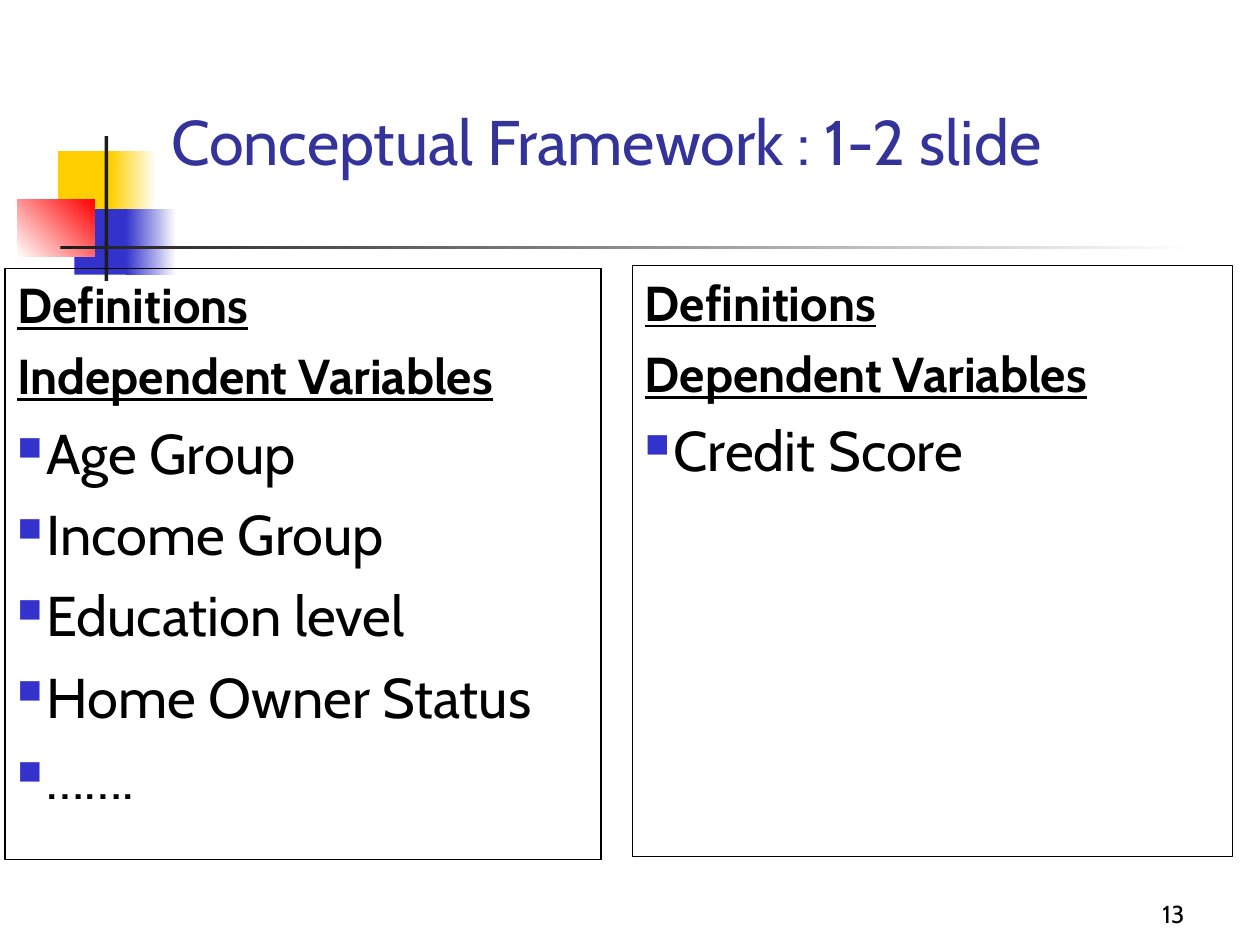
from lxml import etree
from pptx import Presentation
from pptx.dml.color import RGBColor
from pptx.enum.shapes import MSO_SHAPE
from pptx.enum.text import MSO_ANCHOR, PP_ALIGN
from pptx.oxml.ns import qn
from pptx.util import Inches, Pt

BLACK = RGBColor(0, 0, 0)
WHITE = RGBColor(0xFF, 0xFF, 0xFF)
YELLOW = RGBColor(0xFF, 0xCF, 0x01)
BLUE = RGBColor(0x33, 0x33, 0xCC)
RED = RGBColor(0xFF, 0, 0)
CHARCOAL = RGBColor(0x1C, 0x1C, 0x1C)
INDIGO = RGBColor(0x33, 0x33, 0x99)

TITLE = "Conceptual Framework : 1-2 slide"
PAGE = "13"
PANELS = [
    ((0.04, 2.13, 4.73, 4.69),
     ["Definitions", "Independent Variables"],
     ["Age Group", "Income Group", "Education level", "Home Owner Status", "……."]),
    ((5.02, 2.11, 4.76, 4.69),
     ["Definitions", "Dependent Variables"],
     ["Credit Score"]),
]
ORNAMENTS = [
    ((0.46, 1.2, 0.48, 0.52), (YELLOW,), 0),
    ((0.88, 1.2, 0.36, 0.52), (YELLOW, WHITE), 0),
    ((0.59, 1.66, 0.46, 0.52), (BLUE,), 0),
    ((1, 1.66, 0.4, 0.52), (BLUE, WHITE), 0),
    ((0.14, 1.58, 0.61, 0.46), (WHITE, RED), 45),
    ((0.83, 1.08, 0.03, 1.15), (CHARCOAL,), 0),
    ((0.48, 1.95, 9, 0.03), (CHARCOAL, WHITE), 0),
]
HEADING = {"size": Pt(28), "bold": True, "underline": True}
ITEM = {"size": Pt(32)}
INDENT = Inches(0.23)


def add_rect(s, box):
    sp = s.shapes.add_shape(MSO_SHAPE.RECTANGLE, *map(Inches, box))
    sp.shadow.inherit = False
    return sp


def add_ornament(s, box, colors, angle):
    sp = add_rect(s, box)
    sp.line.fill.background()
    if len(colors) == 1:
        sp.fill.solid()
        sp.fill.fore_color.rgb = colors[0]
        return
    sp.fill.gradient()
    sp.fill.gradient_angle = angle
    for stop, color in zip(sp.fill.gradient_stops, colors):
        stop.color.rgb = color


def add_run(p, text, style, color=BLACK):
    r = p.add_run()
    r.text = text
    r.font.name = "Cabin"
    r.font.color.rgb = color
    for key, value in style.items():
        setattr(r.font, key, value)


def add_bullet(p):
    pPr = p._p.get_or_add_pPr()
    pPr.set("marL", str(INDENT))
    pPr.set("indent", str(-INDENT))
    clr = etree.SubElement(pPr, qn("a:buClr"))
    etree.SubElement(clr, qn("a:srgbClr"), val=str(BLUE))
    etree.SubElement(pPr, qn("a:buSzPct"), val="60000")
    etree.SubElement(pPr, qn("a:buChar"), char="■")


def add_panel(s, box, headings, items):
    sp = add_rect(s, box)
    sp.fill.background()
    sp.line.color.rgb = BLACK
    sp.line.width = Pt(0.75)
    tf = sp.text_frame
    tf.word_wrap = True
    tf.vertical_anchor = MSO_ANCHOR.TOP
    rows = [(t, HEADING, 7) for t in headings] + [(t, ITEM, 8) for t in items]
    for i, (text, style, gap) in enumerate(rows):
        p = tf.add_paragraph() if i else tf.paragraphs[0]
        p.alignment = PP_ALIGN.LEFT
        p.space_before = Pt(gap if i else 0)
        if style is ITEM:
            add_bullet(p)
        add_run(p, text, style)


def add_label(s, box, text, size, color, align):
    tf = s.shapes.add_textbox(*map(Inches, box)).text_frame
    tf.word_wrap = True
    tf.vertical_anchor = MSO_ANCHOR.BOTTOM
    p = tf.paragraphs[0]
    p.alignment = align
    add_run(p, text, {"size": Pt(size)}, color)


prs = Presentation()
prs.slide_width, prs.slide_height = Inches(10), Inches(7.5)
s = prs.slides.add_slide(prs.slide_layouts[6])
for ornament in ORNAMENTS:
    add_ornament(s, *ornament)
add_label(s, (1.26, 0.21, 8.52, 1.25), TITLE, 36, INDIGO, PP_ALIGN.LEFT)
add_label(s, (7.42, 6.92, 2.08, 0.5), PAGE, 14, BLACK, PP_ALIGN.RIGHT)
for panel in PANELS:
    add_panel(s, *panel)
prs.save("out.pptx")
